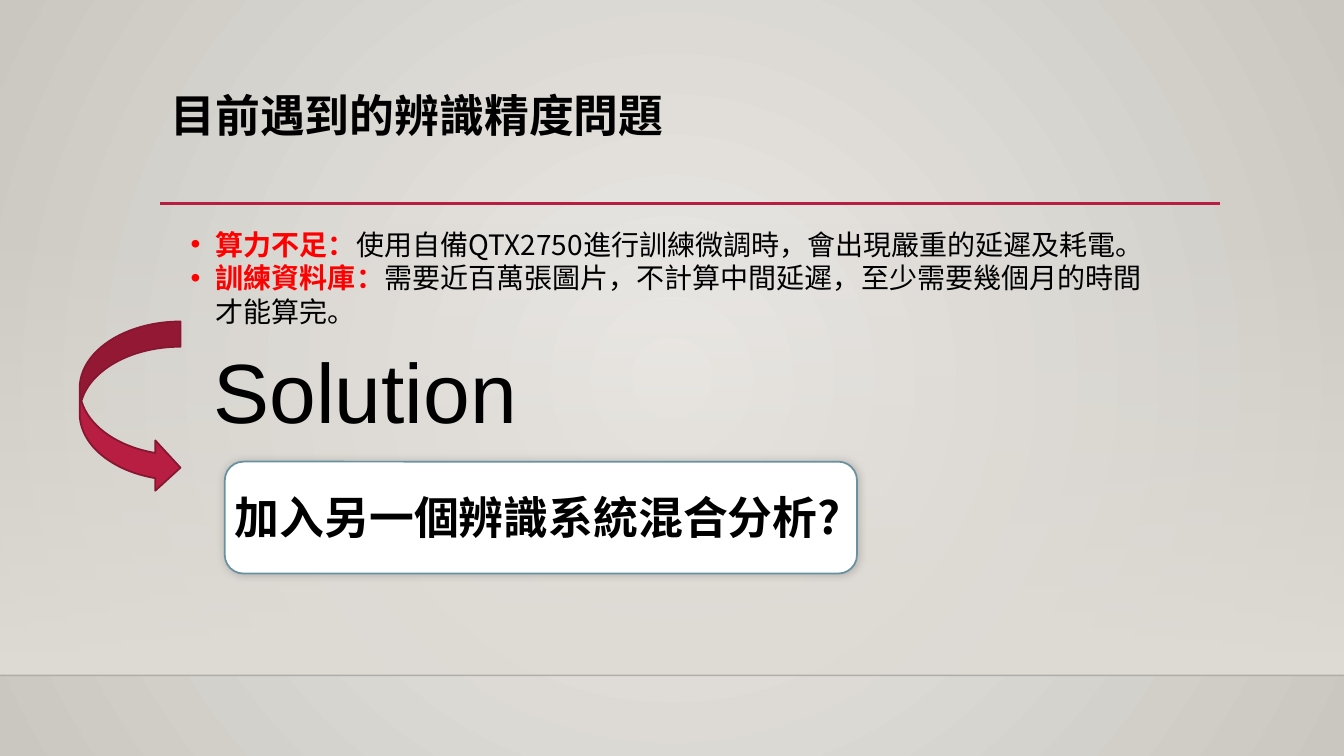
import dataclasses
import typing

import lxml.etree
import pptx
import pptx.dml.color
import pptx.enum.shapes
import pptx.enum.text
import pptx.oxml.ns
import pptx.util

Inches = pptx.util.Inches
Pt = pptx.util.Pt
qn = pptx.oxml.ns.qn
SHAPES = pptx.enum.shapes.MSO_SHAPE
ANCHOR = pptx.enum.text.MSO_ANCHOR
FIT = pptx.enum.text.MSO_AUTO_SIZE

COLORS = {
    "black": "000000", "white": "FFFFFF", "red": "FF0000",
    "crimson": "B71E42", "maroon": "871631", "teal": "6892A0",
    "light": "ECEAE7", "dark": "CAC7C1", "floor": "DFDBD5", "edge": "000001",
}
NOTO = "Noto Sans CJK SC"


@dataclasses.dataclass
class Run:
    text: str
    size: float
    color: str = "black"
    bold: bool = False
    face: str = NOTO


@dataclasses.dataclass
class Rule:
    left: float
    right: float
    top: float
    color: str
    width: float
    alpha: int = 100


@dataclasses.dataclass
class Block:
    kind: typing.Any
    box: tuple
    fill: str
    line: str


@dataclasses.dataclass
class Label:
    box: tuple
    run: Run


RULES = [Rule(0, 13.33, 6.7, "edge", 1, 20), Rule(1.59, 12.1, 2.02, "crimson", 2.5)]
TITLE = Label((1.59, 0.88, 10.5, 1.15), Run("目前遇到的辨識精度問題", 32, bold=True))
BODY = (1.79, 2.2, 9.75, 1.11)
ISSUES = [
    ("算力不足：", "使用自備QTX2750進行訓練微調時，會出現嚴重的延遲及耗電。"),
    ("訓練資料庫：", "需要近百萬張圖片，不計算中間延遲，至少需要幾個月的時間才能算完。"),
]
ARROW = Block(SHAPES.CURVED_RIGHT_ARROW, (0.79, 3.19, 1, 1.7), "crimson", "maroon")
PANEL = Block(SHAPES.FLOWCHART_ALTERNATE_PROCESS, (2.23, 4.58, 6.27, 1.11), "white", "teal")
LABELS = [
    Label((2.02, 3.32, 4.24, 1.11), Run("Solution", 60, face="Arial")),
    Label((2.23, 4.81, 9.53, 0.64), Run("加入另一個辨識系統混合分析?", 32, bold=True)),
]


def rgb(name: str) -> pptx.dml.color.RGBColor:
    return pptx.dml.color.RGBColor.from_string(COLORS[name])


def add_node(parent, tag: str, **attrs):
    return lxml.etree.SubElement(parent, qn(tag), {k: str(v) for k, v in attrs.items()})


def set_all(target, values: dict) -> None:
    for name, value in values.items():
        setattr(target, name, value)


def place(shape, box: tuple) -> None:
    names = ("left", "top", "width", "height")
    set_all(shape, dict(zip(names, map(Inches, box))))


def set_alpha(root, name: str, alpha: int) -> None:
    """Set the opacity in percent of the first use of a colour under root."""
    node = next(n for n in root.iter(qn("a:srgbClr")) if n.get("val") == COLORS[name])
    add_node(node, "a:alpha", val=alpha * 1000)


def blend(fill, first: str, last: str) -> None:
    fill.gradient()
    for stop, name in zip(fill.gradient_stops, (first, last)):
        stop.color.rgb = rgb(name)


def paint_back(slide) -> None:
    fill = slide.background.fill
    blend(fill, "light", "dark")
    lin = next(slide.element.iter(qn("a:lin")))
    grad = lin.getparent()
    grad.remove(lin)
    ring = add_node(grad, "a:path", path="circle")
    add_node(ring, "a:fillToRect", l=50000, t=50000, r=50000, b=50000)


def add_floor(slide) -> None:
    floor = slide.shapes.add_shape(SHAPES.RECTANGLE, 0, Inches(2.21), Inches(13.33), Inches(4.49))
    floor.shadow.inherit = False
    blend(floor.fill, "floor", "floor")
    floor.fill.gradient_angle = 270
    set_alpha(floor.element.spPr, "floor", 0)
    floor.line.fill.background()


def add_rule(slide, rule: Rule) -> None:
    top = Inches(rule.top)
    line = slide.shapes.add_connector(
        pptx.enum.shapes.MSO_CONNECTOR.STRAIGHT, Inches(rule.left), top, Inches(rule.right), top)
    line.line.color.rgb = rgb(rule.color)
    line.line.width = Pt(rule.width)
    props = line.element.spPr
    if rule.alpha < 100:
        set_alpha(props, rule.color, rule.alpha)
    add_node(props, "a:effectLst")


def add_run(para, run: Run) -> None:
    part = para.add_run()
    part.text = run.text
    set_all(part.font, {"size": Pt(run.size), "bold": run.bold, "name": run.face})
    part.font.color.rgb = rgb(run.color)
    add_node(part.font._element, "a:ea", typeface=run.face)


def set_para(para, spacing: float) -> None:
    set_all(para, {"alignment": pptx.enum.text.PP_ALIGN.LEFT, "line_spacing": spacing,
                   "space_before": Pt(0), "space_after": Pt(0)})


def fill_title(title) -> None:
    place(title, TITLE.box)
    set_all(title.text_frame, {"word_wrap": True, "vertical_anchor": ANCHOR.TOP,
                               "auto_size": FIT.NONE})
    para = title.text_frame.paragraphs[0]
    set_para(para, 0.9)
    add_run(para, TITLE.run)


def fill_body(body) -> None:
    place(body, BODY)
    frame = body.text_frame
    set_all(frame, {"word_wrap": True, "vertical_anchor": ANCHOR.MIDDLE,
                    "auto_size": FIT.SHAPE_TO_FIT_TEXT})
    for i, (head, text) in enumerate(ISSUES):
        para = frame.add_paragraph() if i else frame.paragraphs[0]
        set_para(para, 1.0)
        props = para._p.get_or_add_pPr()
        props.set("marL", str(Inches(0.25)))
        props.set("indent", str(Inches(-0.25)))
        add_node(props, "a:buFont", typeface="Arial")
        add_node(props, "a:buChar", char="•")
        add_run(para, Run(head, 20, "red", True))
        add_run(para, Run(text, 20))


def add_block(slide, block: Block):
    shape = slide.shapes.add_shape(block.kind, *map(Inches, block.box))
    shape.shadow.inherit = False
    shape.fill.solid()
    shape.fill.fore_color.rgb = rgb(block.fill)
    shape.line.color.rgb = rgb(block.line)
    shape.line.width = Pt(1.25)
    return shape


def add_glow(shape) -> None:
    """Give the shape a soft shadow on all sides."""
    effects = shape.element.spPr.find(qn("a:effectLst"))
    glow = add_node(effects, "a:outerShdw", blurRad=Pt(6), dist=0, dir=315 * 60000)
    add_node(glow, "a:srgbClr", val=COLORS["black"])
    set_alpha(glow, "black", 20)


def add_label(slide, label: Label) -> None:
    frame = slide.shapes.add_textbox(*map(Inches, label.box)).text_frame
    set_all(frame, {"word_wrap": True, "auto_size": FIT.SHAPE_TO_FIT_TEXT})
    add_run(frame.paragraphs[0], label.run)


def main() -> None:
    deck = pptx.Presentation()
    set_all(deck, {"slide_width": Inches(13.33), "slide_height": Inches(7.5)})
    slide = deck.slides.add_slide(deck.slide_layouts[1])
    paint_back(slide)
    title, body = slide.placeholders
    add_floor(slide)
    for rule in RULES:
        add_rule(slide, rule)
    for holder in (title, body):
        slide.shapes._spTree.append(holder.element)
    fill_title(title)
    fill_body(body)
    add_block(slide, ARROW)
    add_label(slide, LABELS[0])
    add_glow(add_block(slide, PANEL))
    add_label(slide, LABELS[1])
    deck.save("out.pptx")


if __name__ == "__main__":
    main()
